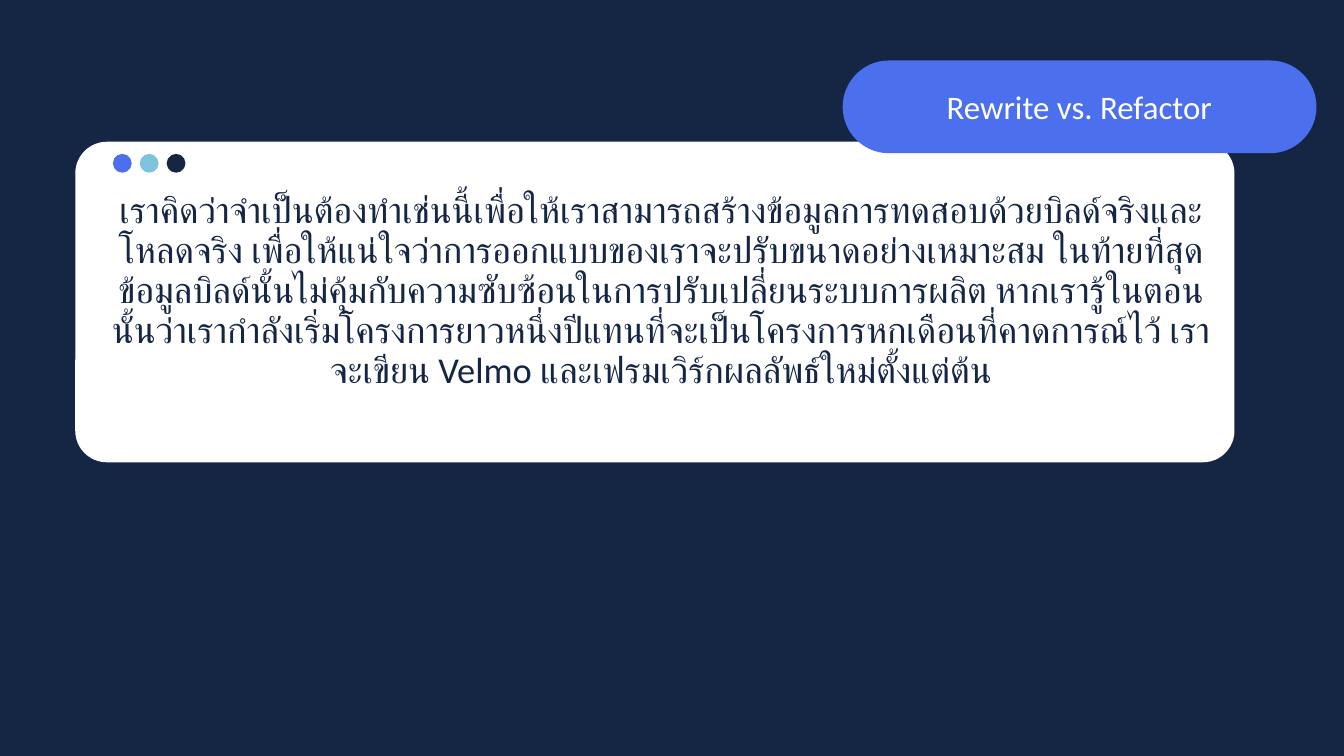
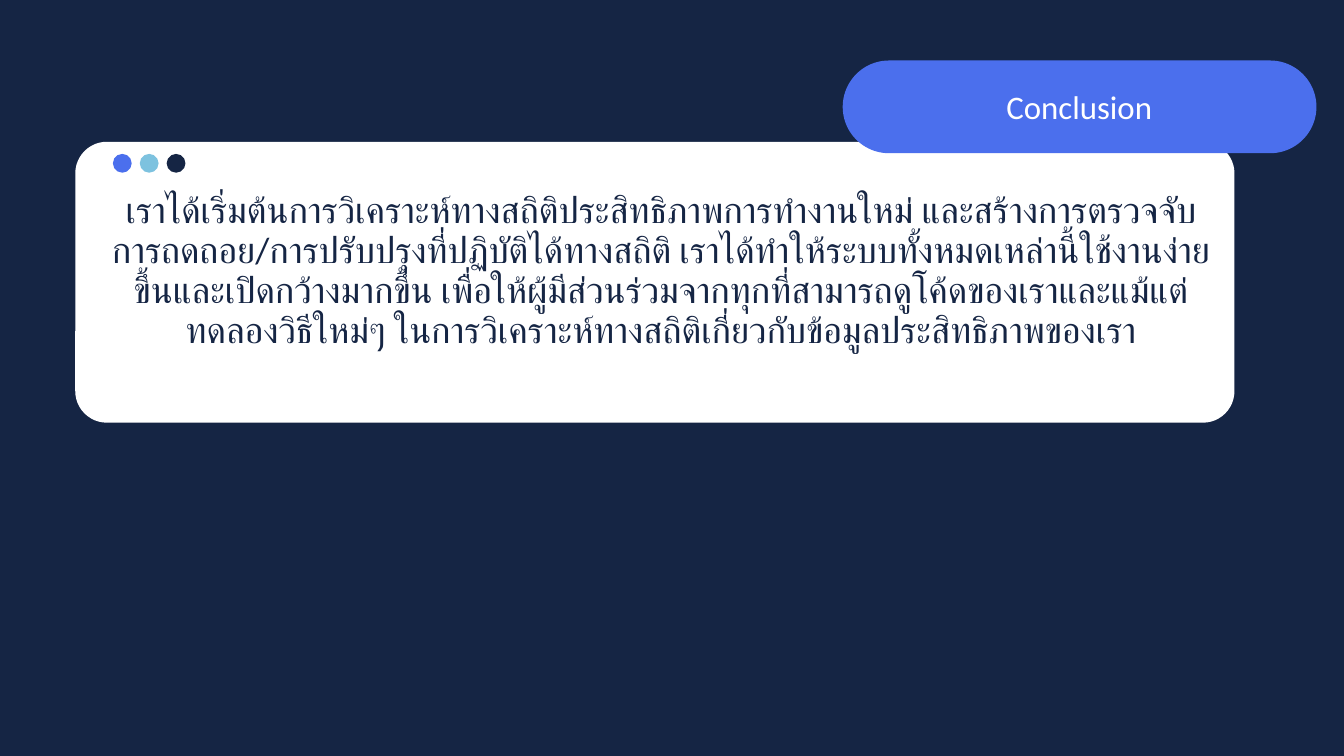
from lxml import etree
from pptx import Presentation
from pptx.dml.color import RGBColor
from pptx.enum import shapes, text
from pptx.oxml.ns import qn
from pptx.util import Inches, Pt

# Content: title, card height, text height, body
SLIDES = [
    ("Rewrite vs. Refactor", 4.77, 4.84,
     "เราคิดว่าจำเป็นต้องทำเช่นนี้เพื่อให้เราสามารถสร้างข้อมูลการทดสอบด้วยบิลด์จริงและโหลดจริง "
     "เพื่อให้แน่ใจว่าการออกแบบของเราจะปรับขนาดอย่างเหมาะสม ในท้ายที่สุด "
     "ข้อมูลบิลด์นั้นไม่คุ้มกับความซับซ้อนในการปรับเปลี่ยนระบบการผลิต "
     "หากเรารู้ในตอนนั้นว่าเรากำลังเริ่มโครงการยาวหนึ่งปีแทนที่จะเป็นโครงการหกเดือนที่คาดการณ์ไว้ "
     "เราจะเขียน Velmo และเฟรมเวิร์กผลลัพธ์ใหม่ตั้งแต่ต้น"),
    ("Conclusion", 4.18, 3.03,
     "เราได้เริ่มต้นการวิเคราะห์ทางสถิติประสิทธิภาพการทำงานใหม่ "
     "และสร้างการตรวจจับการถดถอย/การปรับปรุงที่ปฏิบัติได้ทางสถิติ "
     "เราได้ทำให้ระบบทั้งหมดเหล่านี้ใช้งานง่ายขึ้นและเปิดกว้างมากขึ้น "
     "เพื่อให้ผู้มีส่วนร่วมจากทุกที่สามารถดูโค้ดของเราและแม้แต่ทดลองวิธีใหม่ๆ "
     "ในการวิเคราะห์ทางสถิติเกี่ยวกับข้อมูลประสิทธิภาพของเรา"),
]

# Shared style
NAVY, BLUE, SKY, WHITE = "152544", "4B6FED", "7DC2DF", "FFFFFF"
FONT = "Calibri"
TITLE_STYLE = {"size": 35.2, "leading": 38.7, "color": WHITE}
BODY_STYLE = {"size": 39, "leading": 42.9, "color": NAVY}
CARD_RADIUS = 0.47
DOT_SIZE, DOT_STEP = 0.28, 0.4


def color(value):
    return RGBColor.from_string(value)


def add_filled(page, kind, at, fill, radius=None):
    shape = page.shapes.add_shape(kind, *map(Inches, at))
    shape.shadow.inherit = False
    shape.fill.solid()
    shape.fill.fore_color.rgb = color(fill)
    shape.line.fill.background()
    if radius is not None:
        shape.adjustments[0] = radius / min(at[2:])


def add_text(page, at, words, style):
    frame = page.shapes.add_textbox(*map(Inches, at)).text_frame
    settings = {"margin_left": 0, "margin_top": 0, "margin_right": 0, "margin_bottom": 0,
                "word_wrap": True, "auto_size": text.MSO_AUTO_SIZE.SHAPE_TO_FIT_TEXT}
    for name, value in settings.items():
        setattr(frame, name, value)
    para = frame.paragraphs[0]
    para.alignment = text.PP_ALIGN.CENTER
    para.line_spacing = Pt(style["leading"])
    span = para.add_run()
    span.text = words
    span.font.name = FONT
    span.font.size = Pt(style["size"])
    span.font.color.rgb = color(style["color"])
    # Thai letters use the complex-script font
    etree.SubElement(span.font._element, qn("a:cs"), typeface=FONT)


def add_page(deck, title, card_height, text_height, body):
    page = deck.slides.add_slide(deck.slide_layouts[6])
    page.background.fill.solid()
    page.background.fill.fore_color.rgb = color(NAVY)
    rounded = shapes.MSO_SHAPE.ROUNDED_RECTANGLE

    # Card with window dots
    add_filled(page, rounded, (1.12, 2.11, 17.25, card_height), WHITE, CARD_RADIUS)
    for index, fill in enumerate((BLUE, SKY, NAVY)):
        dot = (1.68 + index * DOT_STEP, 2.29, DOT_SIZE, DOT_SIZE)
        add_filled(page, shapes.MSO_SHAPE.OVAL, dot, fill)

    # Title pill
    add_filled(page, rounded, (12.54, 0.9, 7.05, 1.38), BLUE, 0.69)
    add_text(page, (13.32, 1.34, 5.48, 0.56), title, TITLE_STYLE)

    # Body
    add_text(page, (1.51, 2.84, 16.65, text_height), body, BODY_STYLE)


def main():
    deck = Presentation()
    deck.slide_width, deck.slide_height = Inches(20), Inches(11.25)
    for content in SLIDES:
        add_page(deck, *content)
    deck.save("out.pptx")


if __name__ == "__main__":
    main()
